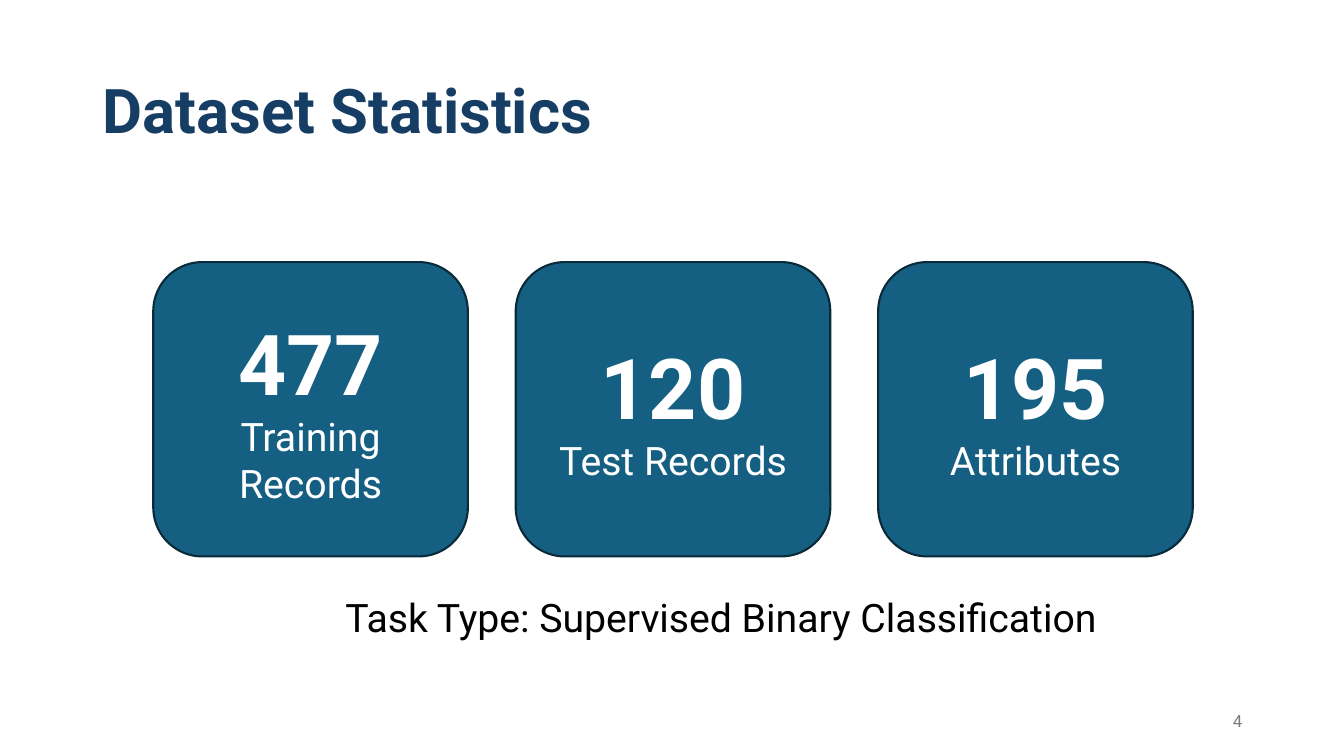
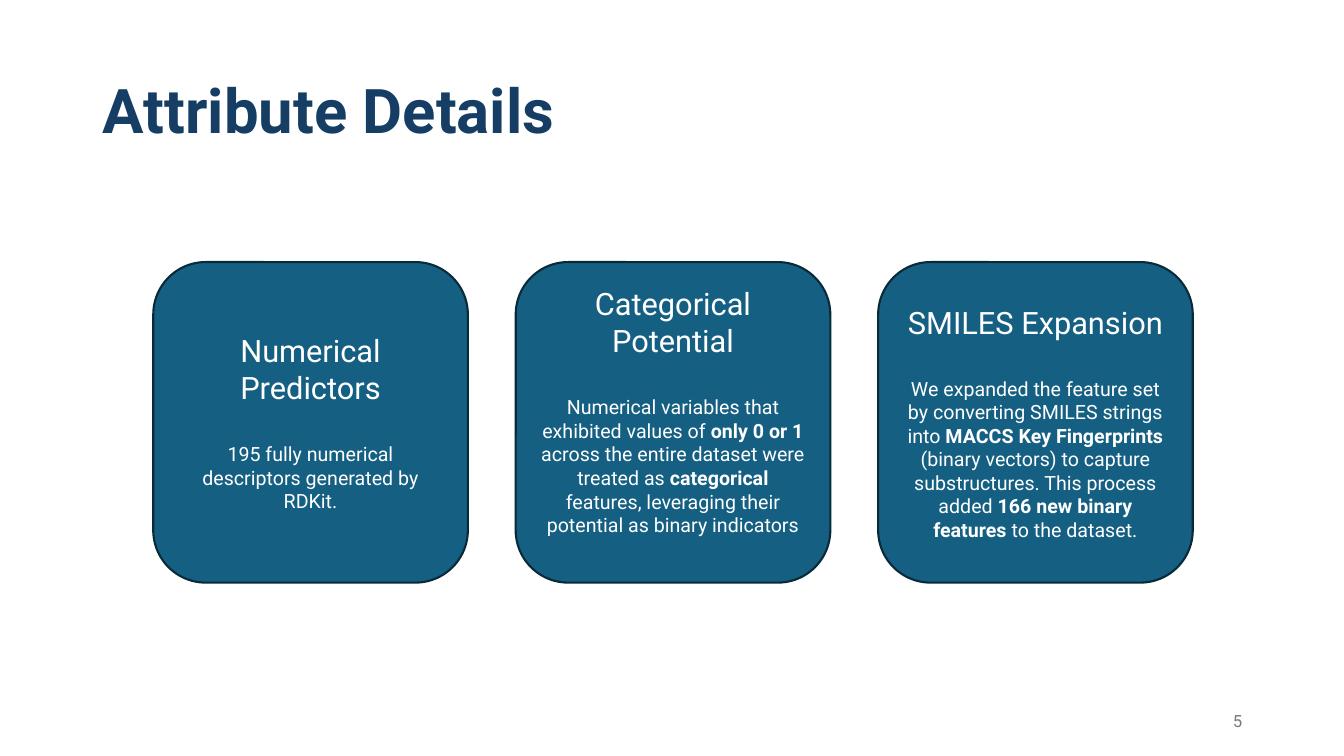
from dataclasses import dataclass

from pptx import Presentation
from pptx.dml.color import RGBColor as RGB
from pptx.enum.shapes import MSO_SHAPE as SHAPE
from pptx.enum.text import MSO_ANCHOR as ANCHOR, MSO_AUTO_SIZE as AUTO, PP_ALIGN as ALIGN
from pptx.oxml.ns import qn
from pptx.util import Inches, Pt


@dataclass(frozen=True)
class Theme:
    font: str = "Roboto"
    navy: str = "163E64"
    card: str = "156082"
    edge: str = "092A39"
    white: str = "FFFFFF"
    black: str = "000000"
    gray: str = "797979"
    title: int = 44
    figure: int = 60
    body: int = 28
    heading: int = 22
    detail: int = 14
    footer: int = 12


TITLE_AND_BODY, TITLE_ONLY = 1, 5
CARD_LEFT, CARD_RIGHT, CARD_TOP, CARD_WIDTH = 1.52, 11.83, 2.6, 3.12


class Deck:
    def __init__(self, theme):
        self.theme = theme
        self.prs = Presentation()
        self.prs.slide_width = Inches(13.33)
        self.prs.slide_height = Inches(7.5)
        self.slide = None

    def new_slide(self, layout, title, number):
        self.slide = self.prs.slides.add_slide(self.prs.slide_layouts[layout])
        self.title(title)
        self.number(number)

    def place(self, sp, left, top, width, height):
        sp.left, sp.top, sp.width, sp.height = map(Inches, (left, top, width, height))

    def frame(self, sp, **formats):
        tf = sp.text_frame
        values = {"word_wrap": True, "auto_size": AUTO.NONE, "vertical_anchor": ANCHOR.MIDDLE}
        for name, value in (values | formats).items():
            setattr(tf, name, value)
        return tf

    def add_text(self, p, text, size, color, bold=False, **formats):
        for name, value in formats.items():
            setattr(p, name, value)
        for i, part in enumerate(text.split("**")):
            if not part:
                continue
            r = p.add_run()
            r.text = part
            values = {"name": self.theme.font, "size": Pt(size), "bold": bold or i % 2 == 1}
            for name, value in values.items():
                setattr(r.font, name, value)
            r.font.color.rgb = RGB.from_string(color)

    def title(self, text):
        t = self.theme
        sp = self.slide.shapes.title
        self.place(sp, 0.92, 0.4, 11.5, 1.45)
        self.add_text(self.frame(sp).paragraphs[0], text, t.title, t.navy, True,
                      alignment=ALIGN.LEFT, line_spacing=0.9)

    def number(self, number):
        t = self.theme
        sp = self.slide.shapes.add_textbox(*map(Inches, (9.42, 6.95, 3, 0.4)))
        self.add_text(self.frame(sp).paragraphs[0], str(number), t.footer, t.gray,
                      alignment=ALIGN.RIGHT)

    def body(self, text):
        t = self.theme
        sp = self.slide.placeholders[1]
        self.place(sp, 3.15, 5.8, 8, 0.7)
        p = self.frame(sp).paragraphs[0]
        pPr = p._p.get_or_add_pPr()
        pPr.set("marL", "0")
        pPr.set("indent", "0")
        pPr.append(pPr.makeelement(qn("a:buNone"), {}))
        self.add_text(p, text, t.body, t.black, alignment=ALIGN.CENTER,
                      line_spacing=0.9, space_before=Pt(0))

    def card(self, left, height, lines, gap=0, bottom=0.05):
        t = self.theme
        box = map(Inches, (left, CARD_TOP, CARD_WIDTH, height))
        sp = self.slide.shapes.add_shape(SHAPE.ROUNDED_RECTANGLE, *box)
        sp.shadow.inherit = False
        sp.fill.solid()
        sp.fill.fore_color.rgb = RGB.from_string(t.card)
        sp.line.color.rgb = RGB.from_string(t.edge)
        sp.line.width = Pt(1.5)
        tf = self.frame(sp, margin_bottom=Inches(bottom))
        for i, (text, size, bold) in enumerate(lines):
            p = tf.add_paragraph() if i else tf.paragraphs[0]
            self.add_text(p, text, size, t.white, bold, alignment=ALIGN.CENTER,
                          space_before=Pt(gap if i else 0))

    def card_row(self, height, cards, **formats):
        pitch = (CARD_RIGHT - CARD_LEFT - CARD_WIDTH) / (len(cards) - 1)
        for i, (lines, bottom) in enumerate(cards):
            self.card(CARD_LEFT + i * pitch, height, lines, bottom=bottom, **formats)


def main():
    t = Theme()
    deck = Deck(t)

    deck.new_slide(TITLE_AND_BODY, "Dataset Statistics", 4)
    stats = [("477", "Training Records"), ("120", "Test Records"), ("195", "Attributes")]
    deck.card_row(2.92, [([(figure, t.figure, True), (label, t.body, False)], 0.05)
                         for figure, label in stats])
    deck.body("Task Type: Supervised Binary Classification")

    deck.new_slide(TITLE_ONLY, "Attribute Details", 5)
    details = [
        ("Numerical Predictors",
         "195 fully numerical descriptors generated by RDKit.", 0.05),
        ("Categorical Potential",
         "Numerical variables that exhibited values of **only 0 or 1** across the entire "
         "dataset were treated as **categorical** features, leveraging their potential "
         "as binary indicators", 0.28),
        ("SMILES Expansion",
         "We expanded the feature set by converting SMILES strings into **MACCS Key "
         "Fingerprints** (binary vectors) to capture substructures. This process added "
         "**166 new binary features** to the dataset.", 0.05),
    ]
    deck.card_row(3.18, [([(heading, t.heading, False), (text, t.detail, False)], bottom)
                         for heading, text, bottom in details], gap=26)

    deck.prs.save("out.pptx")


if __name__ == "__main__":
    main()
